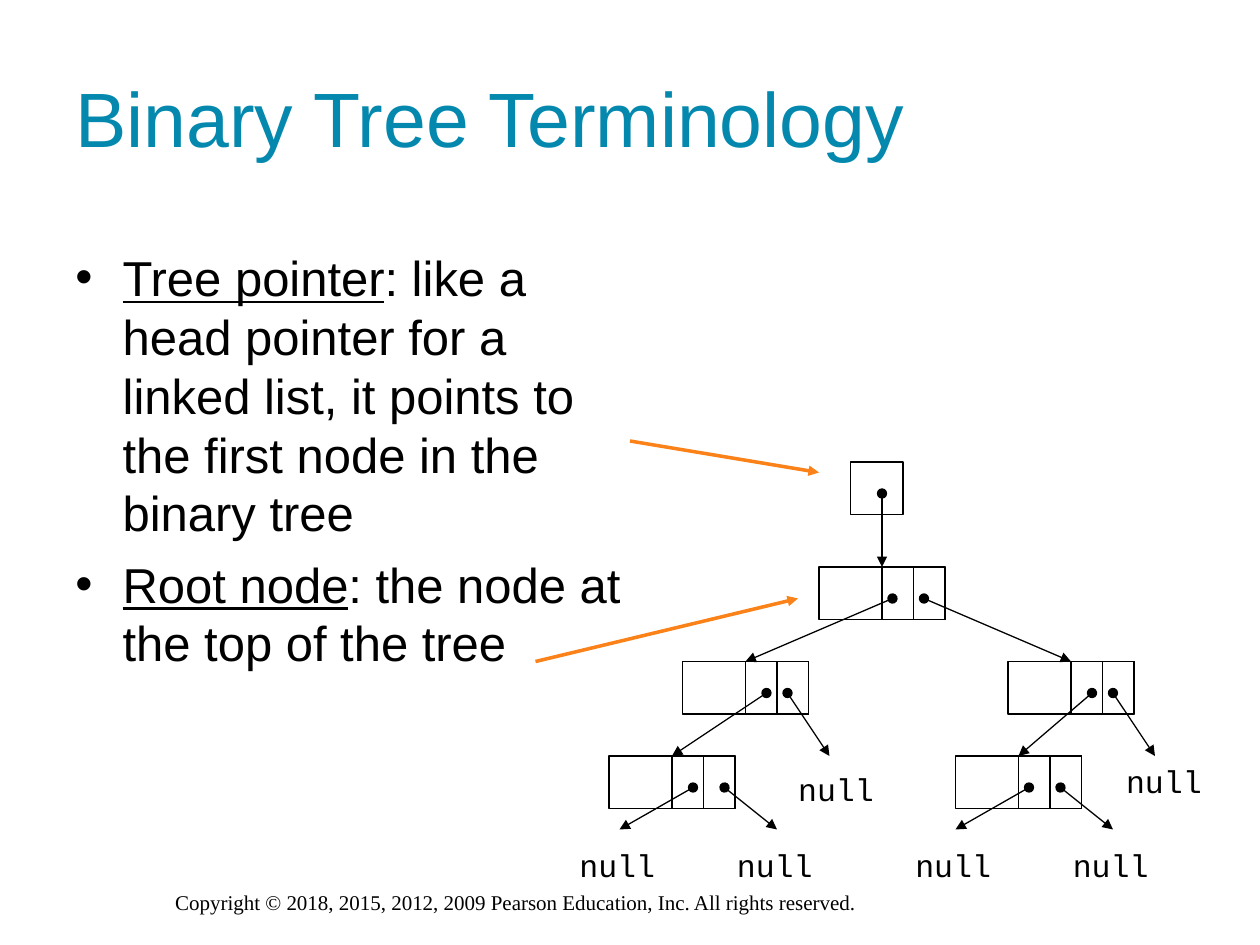
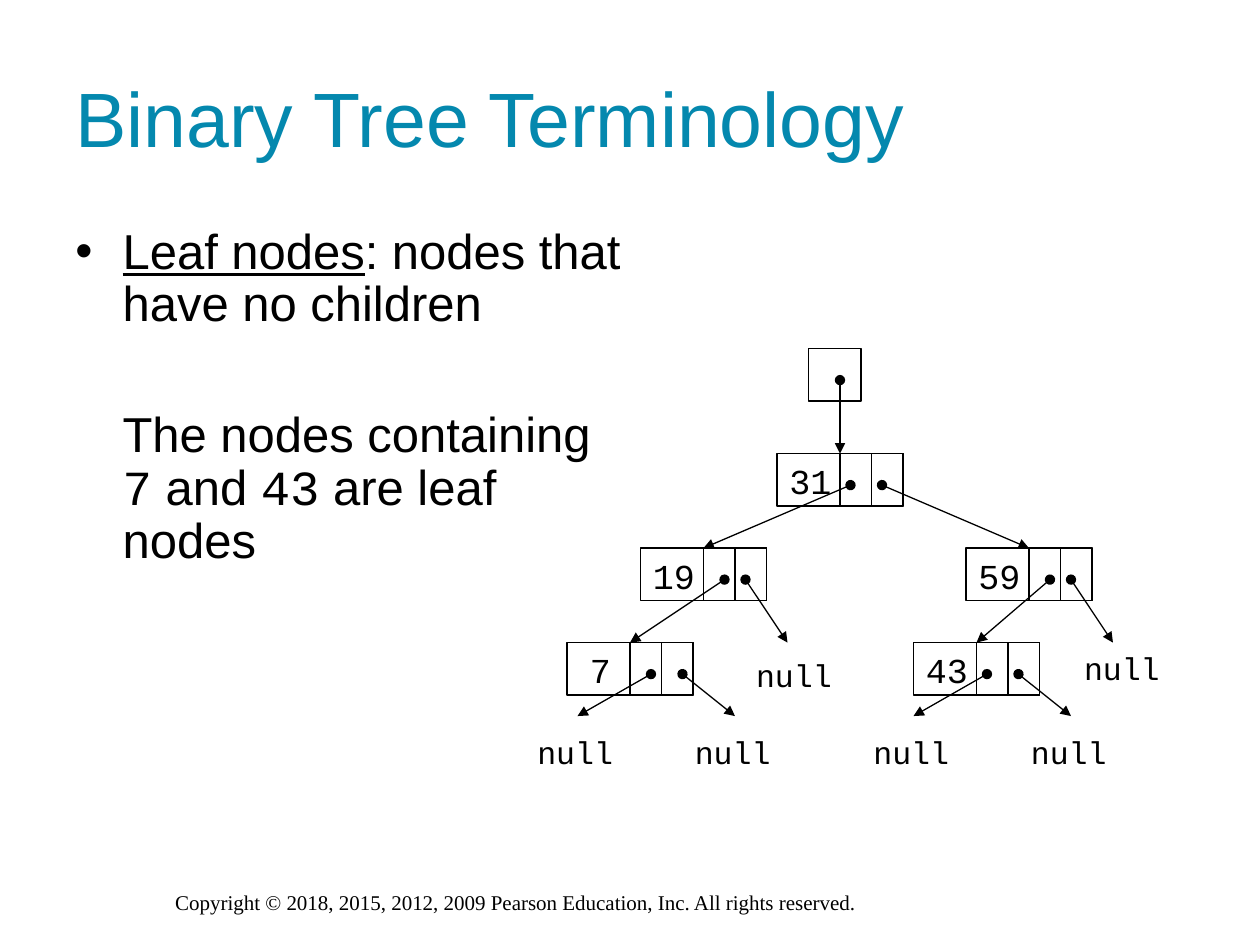
from dataclasses import dataclass

from lxml import etree
from pptx import Presentation
from pptx.dml.color import RGBColor
from pptx.enum import shapes, text
from pptx.oxml.ns import qn
from pptx.util import Pt


@dataclass(frozen=True)
class Theme:
    title_color: str = "0488AE"
    ink: str = "000000"
    accent: str = "FA8218"
    sans: str = "Arial"
    mono: str = "Courier New"
    serif: str = "Times New Roman"
    title_size: int = 44
    body_size: int = 28
    value_size: int = 20
    null_size: int = 18
    footer_size: int = 12
    thin: float = 0.75
    thick: float = 2


THEME = Theme()
TITLE_BOX = (36, 21.6, 648, 90)
FOOTER_BOX = (93, 504.7, 534, 21.6)
TITLE = "Binary Tree Terminology"
COPYRIGHT = "Copyright © 2018, 2015, 2012, 2009 Pearson Education, Inc. All rights reserved."
BULLET_INDENT = 27
NODE_WIDTH, NODE_HEIGHT, LINK_WIDTH = 72, 30, 18
VALUE_WIDTH, VALUE_HEIGHT = 39, 31.5
NULL_WIDTH, NULL_HEIGHT = 58, 28.8
DOT_DROP = 18


@dataclass(frozen=True)
class NullLink:
    """Arrow tip and label corner, measured from the owning node's corner."""
    tip: tuple
    label: tuple


@dataclass(frozen=True)
class Node:
    """A tree node; dots are the x offsets where its two links start."""
    left: float
    top: float
    dots: tuple
    children: tuple


TREE = {
    "root": Node(120, 60, (42, 60), ("left", "right")),
    "left": Node(42, 114, (48, 60), ("left leaf", NullLink((84, 54), (59, 58.3)))),
    "right": Node(228, 114, (48, 60), ("right leaf", NullLink((84, 54), (60.4, 54)))),
    "left leaf": Node(0, 168, (48, 66), (
        NullLink((6, 42), (-24, 48)), NullLink((96, 42), (66, 48)))),
    "right leaf": Node(198, 168, (42, 60), (
        NullLink((0, 42), (-30, 48)), NullLink((90, 42), (60, 48)))),
}


def points(values):
    return [Pt(value) for value in values]


def style_font(font, face, size, color=THEME.ink):
    font.name, font.size = face, Pt(size)
    font.color.rgb = RGBColor.from_string(color)


def add_text(slide, box, words, face, size, color=THEME.ink, wrap=True,
             anchor=text.MSO_ANCHOR.TOP):
    shape = slide.shapes.add_textbox(*points(box))
    frame = shape.text_frame
    frame.word_wrap, frame.vertical_anchor = wrap, anchor
    frame.text = words
    style_font(frame.paragraphs[0].runs[0].font, face, size, color)


def add_box(slide, left, top, width, height):
    shape = slide.shapes.add_shape(
        shapes.MSO_SHAPE.RECTANGLE, *points((left, top, width, height)))
    shape.shadow.inherit = False
    shape.fill.background()
    shape.line.color.rgb = RGBColor.from_string(THEME.ink)
    shape.line.width = Pt(THEME.thin)
    return shape


def add_arrow(slide, start, end, color=THEME.ink, width=THEME.thin, dotted=True):
    """Draw an arrow, with a round dot at its start when dotted."""
    arrow = slide.shapes.add_connector(
        shapes.MSO_CONNECTOR.STRAIGHT, *points((*start, *end)))
    arrow.line.color.rgb = RGBColor.from_string(color)
    arrow.line.width = Pt(width)
    line = arrow.line._get_or_add_ln()
    if dotted:
        etree.SubElement(line, qn("a:headEnd"), type="oval")
    etree.SubElement(line, qn("a:tailEnd"), type="triangle")
    etree.SubElement(arrow._element.spPr, qn("a:effectLst"))
    return arrow


def add_node(slide, left, top):
    outline = add_box(slide, left, top, NODE_WIDTH, NODE_HEIGHT)
    for link in (1, 2):
        add_box(slide, left + NODE_WIDTH - link * LINK_WIDTH, top,
                LINK_WIDTH, NODE_HEIGHT)
    return outline


def add_tree(slide, left, top, values=None):
    """Draw the linked tree, with its tree pointer, from the given corner."""
    pointer_left = 138
    add_box(slide, left + pointer_left, top, NODE_HEIGHT, NODE_HEIGHT)
    outlines = {name: add_node(slide, left + node.left, top + node.top)
                for name, node in TREE.items()}

    def link(start, name):
        child = TREE[name]
        end = (left + child.left + NODE_WIDTH / 2, top + child.top)
        add_arrow(slide, start, end).end_connect(outlines[name], 0)

    link((left + pointer_left + DOT_DROP, top + DOT_DROP), "root")
    for node in TREE.values():
        x, y = left + node.left, top + node.top
        for dot, child in zip(node.dots, node.children):
            start = (x + dot, y + DOT_DROP)
            if isinstance(child, NullLink):
                add_arrow(slide, start, (x + child.tip[0], y + child.tip[1]))
                add_text(slide, (x + child.label[0], y + child.label[1],
                                 NULL_WIDTH, NULL_HEIGHT),
                         "null", THEME.mono, THEME.null_size, wrap=False)
            else:
                link(start, child)

    for name, value in (values or {}).items():
        node = TREE[name]
        inset = 6 if len(value) == 1 else 0
        add_text(slide, (left + node.left + inset, top + node.top,
                         VALUE_WIDTH - 2 * inset, VALUE_HEIGHT),
                 value, THEME.mono, THEME.value_size, wrap=False)


def add_body(slide, box, paragraphs, line_spacing=1.0):
    """Fill a box from (bulleted, space before, [(words, style), ...]) entries."""
    frame = slide.shapes.add_textbox(*points(box)).text_frame
    frame.word_wrap = True
    for index, (bulleted, space, runs) in enumerate(paragraphs):
        paragraph = frame.add_paragraph() if index else frame.paragraphs[0]
        properties = paragraph._p.get_or_add_pPr()
        properties.set("marL", str(Pt(BULLET_INDENT)))
        properties.set("indent", str(Pt(-BULLET_INDENT if bulleted else 0)))
        if bulleted:
            etree.SubElement(properties, qn("a:buFont"), typeface=THEME.sans)
            etree.SubElement(properties, qn("a:buChar"), char="•")
        paragraph.line_spacing = line_spacing
        paragraph.space_before = Pt(space)
        for words, style in runs:
            run = paragraph.add_run()
            run.text = words
            style_font(run.font, THEME.mono if style == "code" else THEME.sans,
                       THEME.body_size)
            run.font.underline = style == "term"


def add_base_slide(presentation):
    slide = presentation.slides.add_slide(presentation.slide_layouts[6])
    add_text(slide, FOOTER_BOX, COPYRIGHT, THEME.serif, THEME.footer_size)
    add_text(slide, TITLE_BOX, TITLE, THEME.sans, THEME.title_size,
             THEME.title_color, anchor=text.MSO_ANCHOR.MIDDLE)
    return slide


def add_pointer_slide(presentation):
    slide = add_base_slide(presentation)
    add_body(slide, (36, 138, 333.4, 324), [
        (True, 0, [("Tree pointer", "term"),
                   (": like a head pointer for a linked list, it points to "
                    "the first node in the binary tree", "plain")]),
        (True, 7, [("Root node", "term"),
                   (": the node at the top of the tree", "plain")]),
    ])
    add_tree(slide, 348, 264)
    for start, end in (((360, 252), (468, 270)), ((306, 378), (456, 342))):
        add_arrow(slide, start, end, THEME.accent, THEME.thick, dotted=False)


def add_leaf_slide(presentation):
    slide = add_base_slide(presentation)
    add_body(slide, (36, 126, 327, 324), [
        (True, 0, [("Leaf nodes", "term"),
                   (": nodes that have no children", "plain")]),
        (False, 44.5, [("The nodes containing ", "plain"), ("7", "code"),
                       (" and ", "plain"), ("43", "code"),
                       (" are leaf nodes", "plain")]),
    ], line_spacing=0.9)
    add_tree(slide, 324, 199.2, {"root": "31", "left": "19", "right": "59",
                                 "left leaf": "7", "right leaf": "43"})


def main():
    presentation = Presentation()
    presentation.slide_width, presentation.slide_height = Pt(720), Pt(540)
    add_pointer_slide(presentation)
    add_leaf_slide(presentation)
    presentation.save("out.pptx")


if __name__ == "__main__":
    main()
